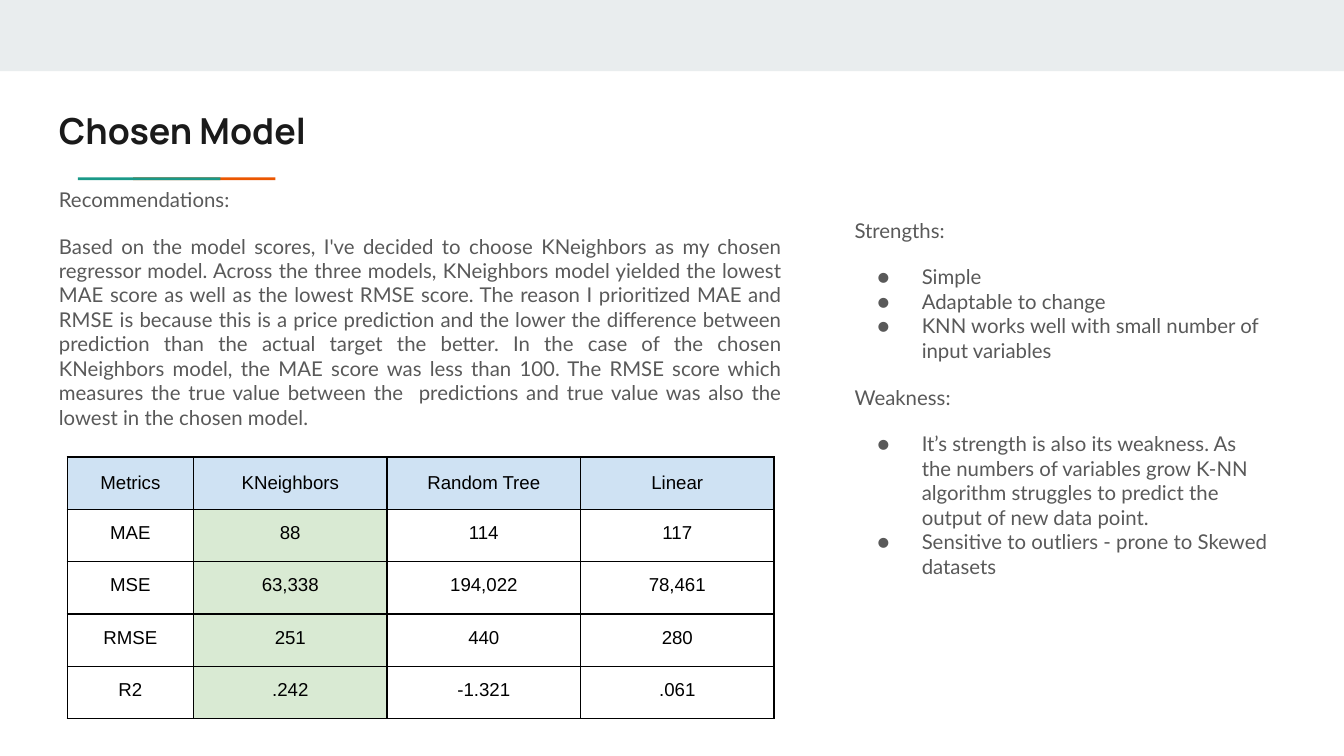
from lxml.etree import SubElement
from pptx import Presentation
from pptx.dml.color import RGBColor
from pptx.enum.shapes import MSO_SHAPE
from pptx.enum.text import MSO_ANCHOR, PP_ALIGN
from pptx.oxml.ns import qn
from pptx.util import Inches, Pt

HUES = {
    "band": "E9EDEE", "orange": "EB5600", "teal": "1A9988",
    "title": "1A1A1A", "body": "595959", "black": "000000",
    "head": "CFE2F3", "best": "D9EAD3",
}
PAD = Inches(0.1)

REASON = (
    "Based on the model scores, I've decided to choose KNeighbors as my chosen "
    "regressor model. Across the three models, KNeighbors model yielded the lowest "
    "MAE score as well as the lowest RMSE score. The reason I prioritized MAE and "
    "RMSE is because this is a price prediction and the lower the difference between "
    "prediction than the actual target the better. In the case of the chosen "
    "KNeighbors model, the MAE score was less than 100. The RMSE score which "
    "measures the true value between the  predictions and true value was also the "
    "lowest in the chosen model."
)
SCORES = [
    ["Metrics", "KNeighbors", "Random Tree", "Linear"],
    ["MAE", "88", "114", "117"],
    ["MSE", "63,338", "194,022", "78,461"],
    ["RMSE", "251", "440", "280"],
    ["R2", ".242", "-1.321", ".061"],
]
POINTS = {
    "Strengths:": [
        "Simple",
        "Adaptable to change",
        "KNN works well with small number of input variables",
    ],
    "Weakness:": [
        "It’s strength is also its weakness. As the numbers of variables grow "
        "K-NN algorithm struggles to predict the output of new data point.",
        "Sensitive to outliers - prone to Skewed datasets",
    ],
}


def color(name):
    """Return the named colour."""
    return RGBColor.from_string(HUES[name])


def inset(item):
    """Set equal margins on a text frame or cell."""
    item.margin_left = item.margin_right = PAD
    item.margin_top = item.margin_bottom = PAD


def write(frame, text, size=10.9, font="Lato", hue="body", bold=False,
          align=PP_ALIGN.LEFT, before=0, bullet=False):
    """Add one formatted paragraph to a text frame."""
    para = frame.paragraphs[0]
    if para.runs:
        para = frame.add_paragraph()
    para.alignment = align
    para.space_before = Pt(before)
    run = para.add_run()
    run.text = text
    run.font.size = Pt(size)
    run.font.name = font
    run.font.bold = bold
    run.font.color.rgb = color(hue)
    if bullet:
        props = para._p.get_or_add_pPr()
        props.set("marL", str(Inches(0.5)))
        props.set("indent", str(-Inches(0.33)))
        tint = SubElement(props, qn("a:buClr"))
        SubElement(tint, qn("a:srgbClr"), val=HUES[hue])
        SubElement(props, qn("a:buFont"), typeface=font)
        SubElement(props, qn("a:buChar"), char="●")


def add_box(slide, left, top, width, height):
    """Add a wrapping text box and return its frame."""
    frame = slide.shapes.add_textbox(
        Inches(left), Inches(top), Inches(width), Inches(height)).text_frame
    frame.word_wrap = True
    inset(frame)
    return frame


def add_bar(slide, left, top, width, height, hue):
    """Add a plain filled rectangle."""
    bar = slide.shapes.add_shape(
        MSO_SHAPE.RECTANGLE,
        Inches(left), Inches(top), Inches(width), Inches(height))
    bar.shadow.inherit = False
    bar.fill.solid()
    bar.fill.fore_color.rgb = color(hue)
    bar.line.fill.background()


def add_title(slide, left, top, width, height):
    """Add the title with its two-colour rule."""
    add_bar(slide, left + 0.65, top + 0.61, 1.06, 0.02, "orange")
    add_bar(slide, left + 0.24, top + 0.61, 1.06, 0.02, "teal")
    frame = add_box(slide, left, top, width, height)
    write(frame, "Chosen Model", size=19.2, font="Manrope", hue="title", bold=True)


def add_advice(slide, left, top, width, height):
    """Add the recommendation text."""
    frame = add_box(slide, left, top, width, height)
    write(frame, "Recommendations:")
    write(frame, REASON, align=PP_ALIGN.JUSTIFY, before=12)


def add_edges(cell):
    """Draw thin black borders around a cell."""
    props = cell._tc.get_or_add_tcPr()
    for side in ("lnL", "lnR", "lnT", "lnB"):
        edge = SubElement(props, qn(f"a:{side}"), w=str(Pt(0.75)))
        fill = SubElement(edge, qn("a:solidFill"))
        SubElement(fill, qn("a:srgbClr"), val=HUES["black"])


def add_scores(slide, left, top, width, height):
    """Add the score table with the chosen model marked."""
    rows, cols = len(SCORES), len(SCORES[0])
    table = slide.shapes.add_table(
        rows, cols, Inches(left), Inches(top), Inches(width), Inches(height)).table
    first = 0.94
    for i, col in enumerate(table.columns):
        col.width = Inches((width - first) / (cols - 1) if i else first)
    for r, row in enumerate(SCORES):
        for c, text in enumerate(row):
            cell = table.cell(r, c)
            inset(cell)
            cell.vertical_anchor = MSO_ANCHOR.TOP if r else MSO_ANCHOR.MIDDLE
            add_edges(cell)
            if r and c != 1:
                cell.fill.background()
            else:
                cell.fill.solid()
                cell.fill.fore_color.rgb = color("best" if r else "head")
            write(cell.text_frame, text, size=10, font="Arial", hue="black",
                  align=PP_ALIGN.CENTER)


def add_points(slide, left, top, width, height):
    """Add the bulleted strengths and weaknesses."""
    frame = add_box(slide, left, top, width, height)
    for n, (head, items) in enumerate(POINTS.items()):
        write(frame, head, before=12 if n else 0)
        for i, item in enumerate(items):
            write(frame, item, before=0 if i else 12, bullet=True)


def main():
    """Build and save the slide."""
    deck = Presentation()
    deck.slide_width, deck.slide_height = Inches(10), Inches(10 * 9 / 16)
    slide = deck.slides.add_slide(deck.slide_layouts[6])
    add_bar(slide, 0, 0, 10, 0.53, "band")
    add_title(slide, 0.34, 0.71, 9.32, 0.63)
    add_advice(slide, 0.34, 1.29, 5.57, 1.78)
    add_scores(slide, 0.5, 3.4, 5.26, 1.95)
    add_points(slide, 6.26, 1.52, 3.28, 2.91)
    deck.save("out.pptx")


if __name__ == "__main__":
    main()
